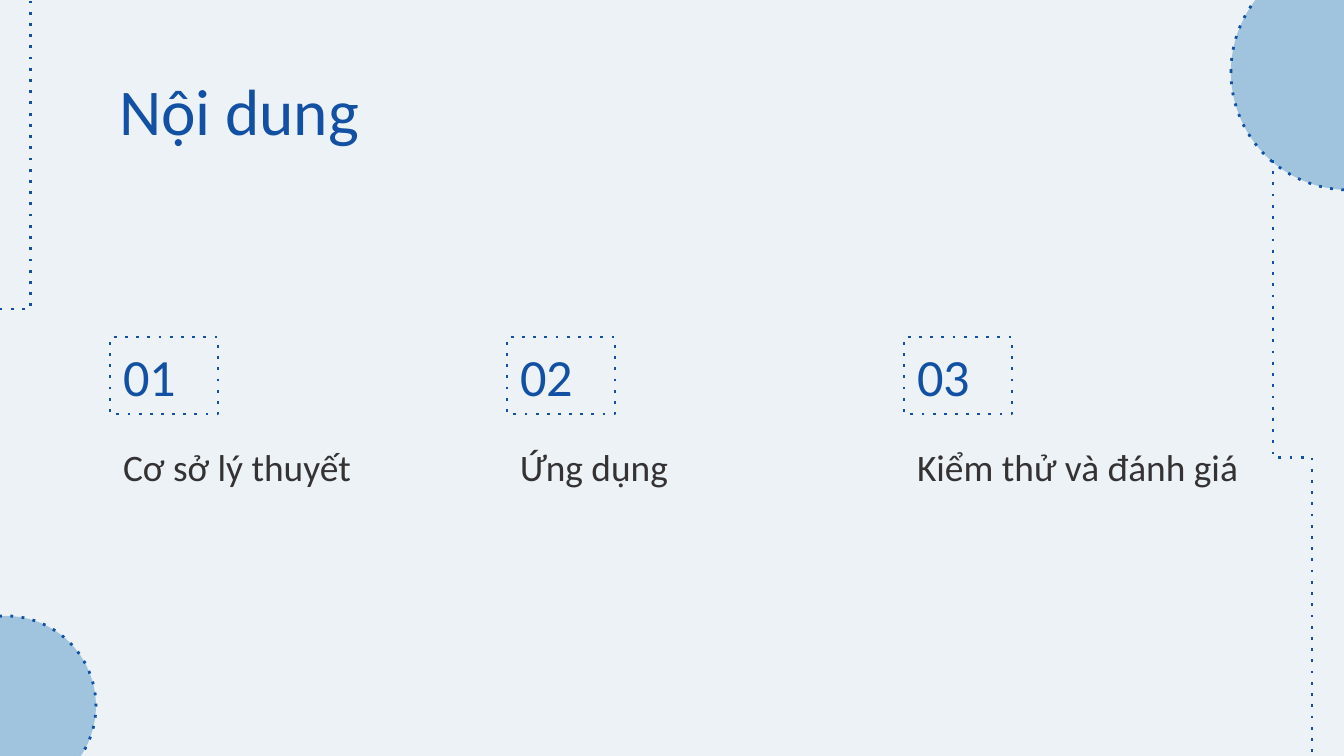
from lxml.etree import SubElement
from pptx import Presentation
from pptx.dml.color import RGBColor
from pptx.enum.dml import MSO_LINE
from pptx.enum.shapes import MSO_CONNECTOR as CONN, MSO_SHAPE as SHAPE
from pptx.enum.text import MSO_ANCHOR as ANCHOR, MSO_AUTO_SIZE as AUTO, PP_ALIGN as ALIGN
from pptx.oxml.ns import qn
from pptx.util import Pt

SCALE = 914400 / 134.4
PAPER, SKY, BLUE, INK = "EDF2F7", "A0C4DE", "1150A2", "343232"


def px(n):
    return round(n * SCALE)


def rgb(value):
    return RGBColor.from_string(value)


class Deck:
    """Hold the style and the current slide, and draw its elements."""

    font = "Calibri"
    inset = 13

    def __init__(self, prs, layout):
        self.s = prs.slides.add_slide(prs.slide_layouts[layout])
        fill = self.s.background.fill
        fill.solid()
        fill.fore_color.rgb = rgb(PAPER)

    def dotted(self, line):
        line.color.rgb = rgb(BLUE)
        line.width = Pt(1.5)
        line.dash_style = MSO_LINE.ROUND_DOT
        line._ln.find(qn("a:prstDash")).set("val", "dot")

    def shape(self, kind, x, y, w, h, fill=None):
        sp = self.s.shapes.add_shape(kind, px(x), px(y), px(w), px(h))
        sp.shadow.inherit = False
        if fill:
            sp.fill.solid()
            sp.fill.fore_color.rgb = rgb(fill)
        else:
            sp.fill.background()
        self.dotted(sp.line)
        return sp

    def circle(self, x, y, d):
        self.shape(SHAPE.OVAL, x, y, d, d, SKY)

    def upright_elbow(self, x1, y1, x2, y2, bend):
        c = self.s.shapes.add_connector(CONN.ELBOW, px(x1), px(y1), px(x2), px(y2))
        self.dotted(c.line)
        pr = c._element.spPr
        pr.find(qn("a:xfrm")).set("rot", "16200000")
        adjust = pr.find(qn("a:prstGeom")).find(qn("a:avLst"))
        SubElement(adjust, qn("a:gd"), name="adj1", fmla=f"val {bend}")
        SubElement(pr, qn("a:effectLst"))

    def text(self, sp, text, size, color, anchor=ANCHOR.MIDDLE, spacing=1.0):
        tf = sp.text_frame
        tf.text = text
        tf.word_wrap = True
        tf.auto_size = AUTO.NONE
        tf.vertical_anchor = anchor
        tf.margin_left = tf.margin_right = tf.margin_top = tf.margin_bottom = px(self.inset)
        p = tf.paragraphs[0]
        p.alignment = ALIGN.LEFT
        p.space_before = Pt(0)
        p.line_spacing = spacing
        f = p.runs[0].font
        f.name, f.size, f.bold = self.font, Pt(size), False
        f.color.rgb = rgb(color)
        return p

    def placeholder(self, idx, x, y, w, h):
        sp = self.s.placeholders[idx]
        sp.left, sp.top, sp.width, sp.height = px(x), px(y), px(w), px(h)
        return sp

    def title(self, text, x, y, w, h):
        self.text(self.placeholder(0, x, y, w, h), text, 35, BLUE, ANCHOR.TOP)

    def number(self, text, x, y, w, h):
        self.text(self.shape(SHAPE.RECTANGLE, x, y, w, h), text, 28, BLUE)

    def caption(self, idx, text, x, y, w, h):
        p = self.text(self.placeholder(idx, x, y, w, h), text, 20, INK, spacing=1.15)
        pr = p._p.get_or_add_pPr()
        pr.set("marL", "0")
        pr.set("indent", "0")
        SubElement(pr, qn("a:buNone"))

    def drop_empty(self):
        for sp in list(self.s.placeholders):
            if not sp.text_frame.text:
                sp._element.getparent().remove(sp._element)


def main():
    prs = Presentation()
    prs.slide_width, prs.slide_height = px(1344), px(756)
    deck = Deck(prs, 4)
    deck.circle(-84, 616, 180)
    deck.circle(1231, -46, 236)
    deck.upright_elbow(-335, 278, 307, 367, 52100)
    deck.upright_elbow(1590, 438, 995, 477, 50000)
    deck.title("Nội dung", 106, 57, 284, 85)
    topics = [("Cơ sở lý thuyết", 339), ("Ứng dụng", 339), ("Kiểm thử và đánh giá", 375)]
    for i, (topic, width) in enumerate(topics):
        x = 110 + 397 * i
        deck.number(f"{i + 1:02}", x, 337, 108, 77)
        deck.caption(i + 1, topic, x, 428, width, 71)
    deck.drop_empty()
    prs.save("out.pptx")


if __name__ == "__main__":
    main()
